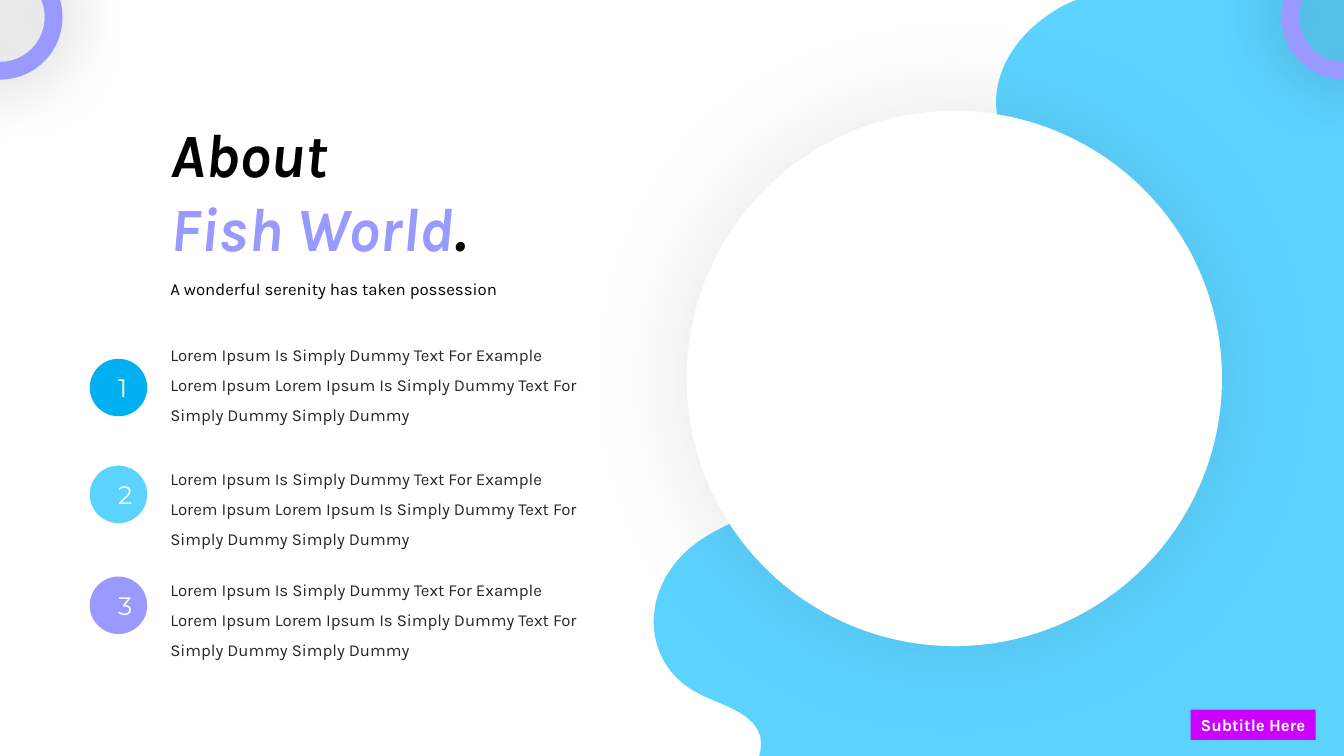
from dataclasses import dataclass

from lxml import etree
from pptx import Presentation
from pptx.dml.color import RGBColor
from pptx.enum import shapes, text
from pptx.oxml.ns import qn
from pptx.shapes.autoshape import Shape
from pptx.shapes.shapetree import GroupShapes, SlideShapes
from pptx.slide import Slide
from pptx.text.text import TextFrame
from pptx.util import Inches, Pt

BLACK = RGBColor(0, 0, 0)
DARK = RGBColor(0x26, 0x26, 0x26)
WHITE = RGBColor(0xFF, 0xFF, 0xFF)
BLUE = RGBColor(0x00, 0xB0, 0xF0)
SKY = RGBColor(0x5C, 0xD3, 0xFF)
LILAC = RGBColor(0x99, 0x99, 0xFF)
MAGENTA = RGBColor(0xCC, 0x00, 0xFF)

BODY = ("Lorem Ipsum Is Simply Dummy Text For Example Lorem Ipsum Lorem Ipsum Is "
        "Simply Dummy Text For Simply Dummy Simply Dummy")
TEXT_LEFT = 1.59
BADGE_SIZE = 0.57
NUMBER_HEIGHT = 0.4
RING_SIZE = 1.24

Point = tuple[float, float]
Box = tuple[float, float, float, float]


@dataclass
class Item:
    number: str
    color: RGBColor
    badge_top: float
    text_top: float


ITEMS = [
    Item("1", BLUE, 3.56, 3.27),
    Item("2", SKY, 4.62, 4.5),
    Item("3", LILAC, 5.72, 5.6),
]

# Each row holds two control points and an end point.
WAVE_START: Point = (7.53, 7.5)
WAVE_CURVES: list[tuple[Point, Point, Point]] = [
    ((7.55, 7.44), (7.55, 7.37), (7.54, 7.3)),
    ((7.45, 7.03), (7.09, 6.99), (6.86, 6.84)),
    ((6.59, 6.68), (6.45, 6.37), (6.49, 6.07)),
    ((6.52, 5.78), (6.71, 5.51), (6.96, 5.35)),
    ((7.26, 5.15), (7.66, 5.06), (7.81, 4.76)),
    ((7.93, 4.51), (7.83, 4.21), (7.91, 3.95)),
    ((7.99, 3.65), (8.28, 3.44), (8.6, 3.32)),
    ((8.9, 3.2), (9.24, 3.15), (9.54, 3.03)),
    ((9.84, 2.9), (10.14, 2.68), (10.2, 2.38)),
    ((10.31, 1.92), (9.91, 1.5), (9.88, 1.05)),
    ((9.86, 0.59), (10.23, 0.18), (10.67, 0)),
    ((10.89, -0.08), (11.13, -0.12), (11.37, -0.12)),
    ((11.61, -0.12), (11.86, -0.09), (12.09, -0.03)),
]
WAVE_CORNERS: list[Point] = [(12.24, 0), (13.33, 0), (13.33, 7.5)]


def paint(sp: Shape, color: RGBColor) -> None:
    sp.shadow.inherit = False
    sp.fill.solid()
    sp.fill.fore_color.rgb = color
    sp.line.fill.background()


def add_wave(s: Slide) -> None:
    """Draw the outline with straight segments, then bend those that are curves."""
    ends = [end for _, _, end in WAVE_CURVES] + WAVE_CORNERS
    builder = s.shapes.build_freeform(Inches(WAVE_START[0]), Inches(WAVE_START[1]))
    builder.add_line_segments([(Inches(x), Inches(y)) for x, y in ends])
    sp = builder.convert_to_shape()
    segments = list(sp.element.iter(qn("a:lnTo")))
    for segment, (c1, c2, _) in zip(segments, WAVE_CURVES):
        curve = etree.Element(qn("a:cubicBezTo"))
        for x, y in (c1, c2):
            etree.SubElement(curve, qn("a:pt"), x=str(Inches(x) - sp.left),
                             y=str(Inches(y) - sp.top))
        curve.append(segment[0])
        segment.getparent().replace(segment, curve)
    paint(sp, SKY)


def add_shape(tree: SlideShapes | GroupShapes, kind: shapes.MSO_SHAPE, box: Box,
              color: RGBColor) -> Shape:
    sp = tree.add_shape(kind, *map(Inches, box))
    paint(sp, color)
    return sp


def add_glow(sp: Shape, blur: int, opacity: int) -> None:
    """Give the shape a centred black shadow; blur in points, opacity in percent."""
    effects = sp.element.spPr.find(qn("a:effectLst"))
    shadow = etree.SubElement(effects, qn("a:outerShdw"), blurRad=str(Pt(blur)),
                              dist="0", dir="0", algn="ctr", rotWithShape="0")
    color = etree.SubElement(shadow, qn("a:srgbClr"), val="000000")
    etree.SubElement(color, qn("a:alpha"), val=str(opacity * 1000))


def write(tf: TextFrame, words: str, size: int, color: RGBColor, font: str = "Karla",
          bold: bool = False, align: text.PP_ALIGN = text.PP_ALIGN.LEFT,
          spacing: float = 1.0, wrap: bool = True) -> None:
    tf.word_wrap = wrap
    tf.auto_size = text.MSO_AUTO_SIZE.SHAPE_TO_FIT_TEXT
    p = tf.paragraphs[0]
    p.text = words
    p.alignment = align
    p.line_spacing = spacing
    p.font.name = font
    p.font.size = Pt(size)
    p.font.bold = bold
    p.font.color.rgb = color


def add_body(s: Slide, box: Box, words: str, color: RGBColor) -> None:
    sp = s.shapes.add_textbox(*map(Inches, box))
    write(sp.text_frame, words, 12, color, spacing=1.5)


def add_title(s: Slide) -> None:
    sp = s.shapes.title
    sp.left, sp.top, sp.width, sp.height = map(Inches, (TEXT_LEFT, 1.1, 5.22, 1.58))
    tf = sp.text_frame
    tf.vertical_anchor = text.MSO_ANCHOR.TOP
    tf.auto_size = text.MSO_AUTO_SIZE.SHAPE_TO_FIT_TEXT
    lines = [[("About", BLACK)], [("Fish World", LILAC), (".", BLACK)]]
    for i, line in enumerate(lines):
        p = tf.add_paragraph() if i else tf.paragraphs[0]
        p.alignment = text.PP_ALIGN.LEFT
        p.font.name = "Karla"
        p.font.size = Pt(44)
        p.font.bold = p.font.italic = True
        for words, color in line:
            r = p.add_run()
            r.text = words
            r.font.color.rgb = color


def add_badge(s: Slide, item: Item) -> None:
    group = s.shapes.add_group_shape()
    add_shape(group.shapes, shapes.MSO_SHAPE.OVAL,
              (0.89, item.badge_top, BADGE_SIZE, BADGE_SIZE), item.color)
    number_top = item.badge_top + (BADGE_SIZE - NUMBER_HEIGHT) / 2
    number = add_shape(group.shapes, shapes.MSO_SHAPE.RECTANGLE,
                       (1.08, number_top, 0.19, NUMBER_HEIGHT), item.color)
    write(number.text_frame, item.number, 18, WHITE, "Montserrat",
          align=text.PP_ALIGN.CENTER)


def add_ring(s: Slide, center: float) -> None:
    sp = add_shape(s.shapes, shapes.MSO_SHAPE.DONUT,
                   (center - RING_SIZE / 2, -0.45, RING_SIZE, RING_SIZE), LILAC)
    sp.adjustments[0] = 0.142
    add_glow(sp, blur=49, opacity=33)


def main() -> None:
    prs = Presentation()
    prs.slide_width, prs.slide_height = Inches(13.33), Inches(7.5)
    s = prs.slides.add_slide(prs.slide_layouts.get_by_name("Title Only"))

    add_wave(s)
    disc = add_shape(s.shapes, shapes.MSO_SHAPE.OVAL, (6.81, 1.1, 5.31, 5.31), WHITE)
    add_glow(disc, blur=77, opacity=9)
    add_title(s)
    add_body(s, (TEXT_LEFT, 2.62, 4.42, 0.37),
             "A wonderful serenity has taken possession", BLACK)
    for item in ITEMS:
        add_badge(s, item)
        add_body(s, (TEXT_LEFT, item.text_top, 4.28, 0.97), BODY, DARK)
    tag = add_shape(s.shapes, shapes.MSO_SHAPE.RECTANGLE, (11.81, 7.04, 1.24, 0.3),
                    MAGENTA)
    write(tag.text_frame, "Subtitle Here", 12, WHITE, bold=True, wrap=False)
    for center in (0, 13.33):
        add_ring(s, center)

    prs.save("out.pptx")


if __name__ == "__main__":
    main()
